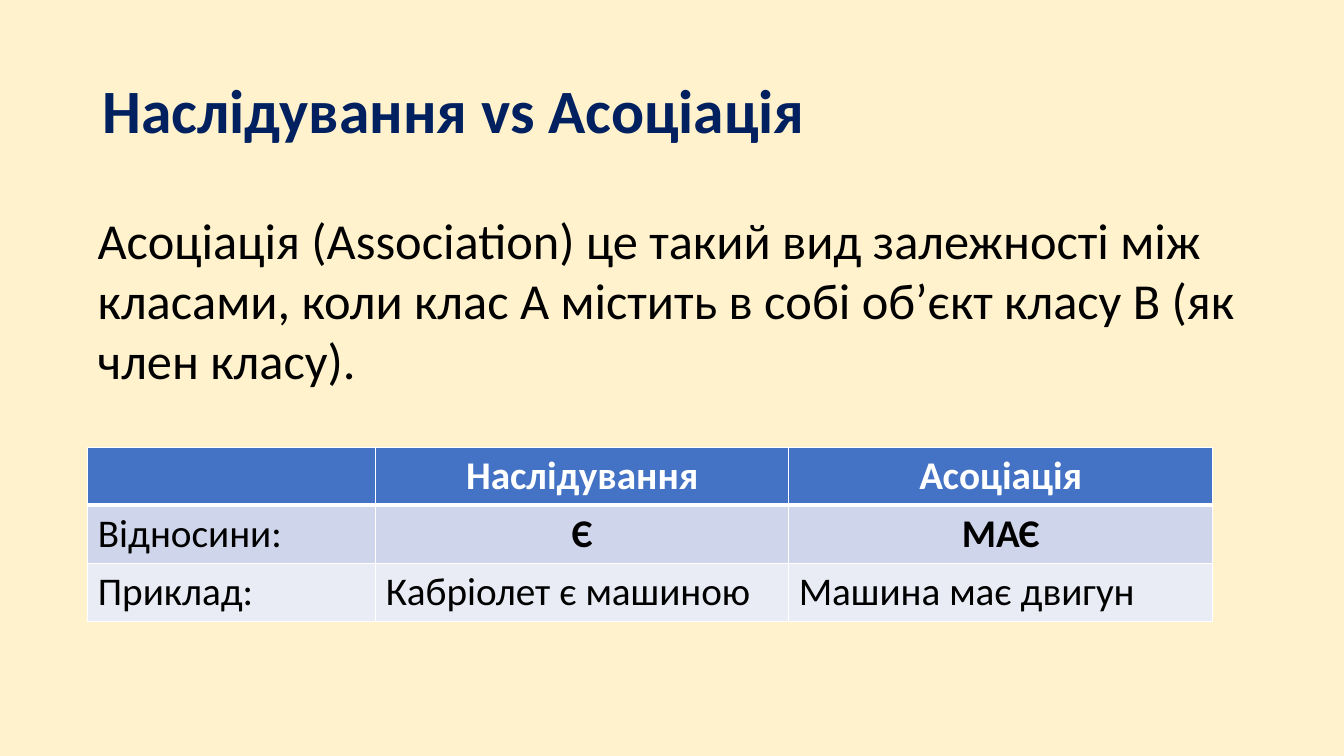
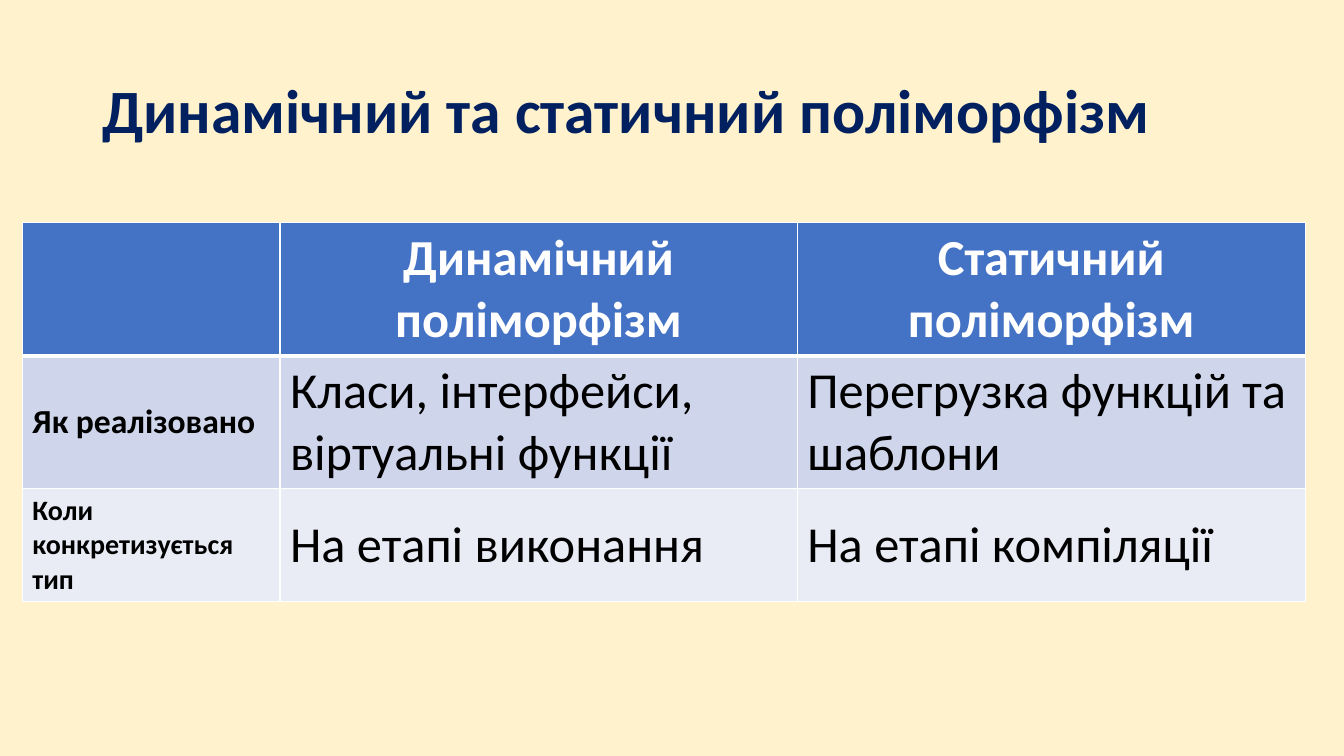
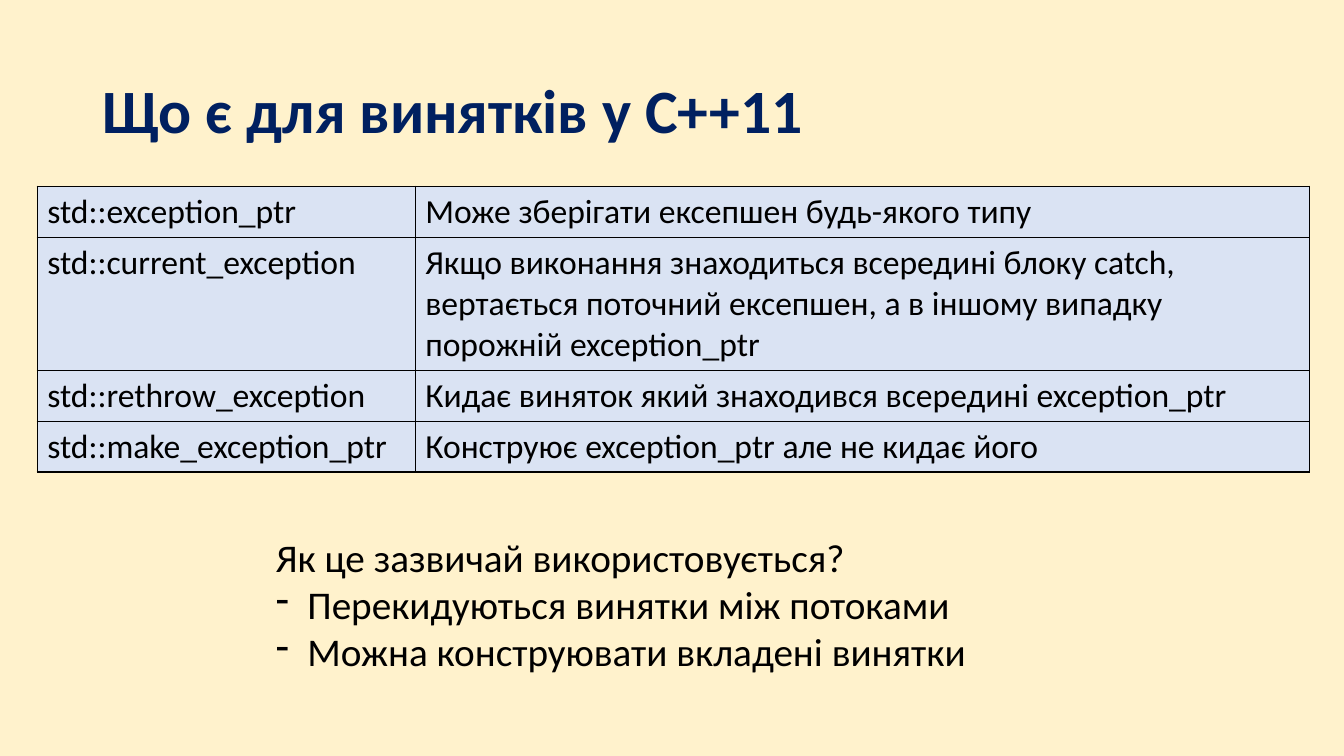
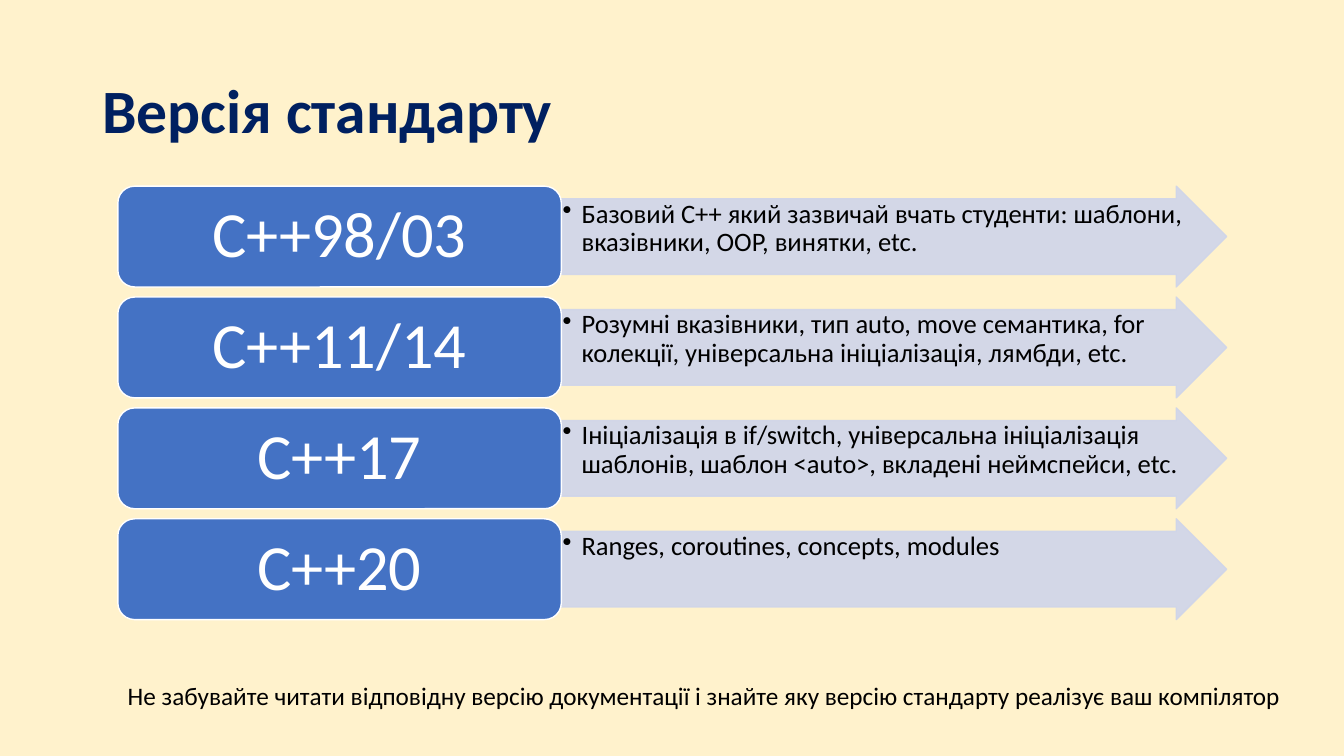
from lxml import etree
from pptx import Presentation
from pptx.dml.color import RGBColor
from pptx.enum.shapes import MSO_SHAPE
from pptx.enum.text import MSO_ANCHOR, MSO_AUTO_SIZE, PP_ALIGN
from pptx.oxml.ns import qn
from pptx.util import Pt

LEFT, CENTER = PP_ALIGN.LEFT, PP_ALIGN.CENTER
TOP, MIDDLE = MSO_ANCHOR.TOP, MSO_ANCHOR.MIDDLE
GROW = MSO_AUTO_SIZE.SHAPE_TO_FIT_TEXT
RIGHT_ARROW, ROUNDED = MSO_SHAPE.RIGHT_ARROW, MSO_SHAPE.ROUNDED_RECTANGLE

FONT = "Calibri"
CREAM, NAVY, BLACK, WHITE = "FFF2CC", "002060", "000000", "FFFFFF"
BLUE, BAND_DARK, BAND_LIGHT, PALE_BLUE = "4472C4", "CFD5EA", "E9EBF5", "DAE3F3"
BANDS = (BLUE, BAND_DARK, BAND_LIGHT)


def rgb(color):
    return RGBColor.from_string(color)


def set_all(target, values):
    for name, value in values.items():
        setattr(target, name, value)


def write(frame, lines, size, color=BLACK, bold=False, align=LEFT, spacing=None,
          bullet=None, indent=0):
    """Fill a text frame; lines that start with the bullet mark are indented."""
    for index, line in enumerate(lines):
        paragraph = frame.paragraphs[0] if index == 0 else frame.add_paragraph()
        set_all(paragraph, {"alignment": align, "line_spacing": spacing})
        if bullet and line.startswith(bullet):
            line = line[len(bullet):].strip()
            properties = paragraph._p.get_or_add_pPr()
            properties.set("marL", str(Pt(indent)))
            properties.set("indent", str(-Pt(indent)))
            etree.SubElement(properties, qn("a:buChar"), char=bullet)
        run = paragraph.add_run()
        run.text = line
        set_all(run.font, {"name": FONT, "size": Pt(size), "bold": bold})
        run.font.color.rgb = rgb(color)


def set_borders(cell, color, widths):
    """Draw cell borders; widths maps L, R, T and B to points."""
    properties = cell._tc.get_or_add_tcPr()
    for index, side in enumerate("LRTB"):
        line = etree.Element(qn(f"a:ln{side}"), w=str(Pt(widths[side])))
        fill = etree.SubElement(line, qn("a:solidFill"))
        etree.SubElement(fill, qn("a:srgbClr"), val=color)
        properties.insert(index, line)


class Deck:
    def __init__(self):
        self.presentation = Presentation()
        set_all(self.presentation, {"slide_width": Pt(960), "slide_height": Pt(540)})
        self.slide = None

    def add_slide(self, title):
        self.slide = self.presentation.slides.add_slide(self.presentation.slide_layouts[6])
        background = self.slide.background.fill
        background.solid()
        background.fore_color.rgb = rgb(CREAM)
        self.text((66, 28.75, 828, 104.4), [title], 44, frame_format={"vertical_anchor": MIDDLE},
                  color=NAVY, bold=True, spacing=0.9)

    def text(self, box, lines, size, frame_format, **style):
        frame = self.slide.shapes.add_textbox(*map(Pt, box)).text_frame
        set_all(frame, {"word_wrap": True, **frame_format})
        write(frame, lines, size, **style)

    def shape(self, kind, box, fill, line, text, size, anchor, margins,
              adjustments=(), opacity=None, **style):
        shape = self.slide.shapes.add_shape(kind, *map(Pt, box))
        shape.shadow.inherit = False
        for index, value in enumerate(adjustments):
            shape.adjustments[index] = value
        shape.fill.solid()
        shape.fill.fore_color.rgb = rgb(fill)
        shape.line.color.rgb = rgb(line)
        shape.line.width = Pt(1)
        if opacity:
            for color in shape.element.spPr.iter(qn("a:srgbClr")):
                etree.SubElement(color, qn("a:alpha"), val=str(opacity * 1000))
        across, down = map(Pt, margins)
        set_all(shape.text_frame, {
            "word_wrap": True, "vertical_anchor": anchor,
            "margin_left": across, "margin_right": across,
            "margin_top": down, "margin_bottom": down})
        write(shape.text_frame, [text], size, **style)

    def table(self, left, top, columns, heights, rows, fills, border, header=False):
        """Each cell is (text, anchor, style); a header row gets a thick lower border."""
        table = self.slide.shapes.add_table(
            len(rows), len(columns), Pt(left), Pt(top), Pt(sum(columns)), Pt(sum(heights))).table
        for column, width in zip(table.columns, columns):
            column.width = Pt(width)
        for index, (row, height, color) in enumerate(zip(rows, heights, fills)):
            table.rows[index].height = Pt(height)
            widths = {"L": 1, "R": 1,
                      "T": 3 if header and index == 1 else 1,
                      "B": 3 if header and index == 0 else 1}
            for cell, (text, anchor, style) in zip(table.rows[index].cells, row):
                cell.vertical_anchor = anchor
                cell.fill.solid()
                cell.fill.fore_color.rgb = rgb(color)
                set_borders(cell, border, widths)
                if text:
                    write(cell.text_frame, [text], **style)


def inheritance_slide(deck):
    deck.add_slide("Наслідування vs Асоціація")
    plain = {"size": 28}
    strong = {"size": 28, "bold": True, "align": CENTER}
    heading = {**strong, "color": WHITE}
    rows = [
        [("", MIDDLE, heading), ("Наслідування", MIDDLE, heading), ("Асоціація", MIDDLE, heading)],
        [("Відносини:", MIDDLE, plain), ("Є", MIDDLE, strong), ("МАЄ", MIDDLE, strong)],
        [(text, MIDDLE, plain) for text in ("Приклад:", "Кабріолет є машиною", "Машина має двигун")],
    ]
    deck.table(62.7, 319.5, (205.7, 295, 303), [41.4] * 3, rows, BANDS, WHITE, header=True)
    deck.text((62.7, 145.5, 835, 138),
              ["Асоціація (Association) це такий вид залежності між класами, "
               "коли клас А містить в собі об’єкт класу B (як член класу)."],
              36, frame_format={"auto_size": GROW})


def polymorphism_slide(deck):
    deck.add_slide("Динамічний та статичний поліморфізм")
    plain = {"size": 36}
    heading = {"size": 36, "bold": True, "align": CENTER, "color": WHITE}
    rows = [
        [("", TOP, heading), ("Динамічний поліморфізм", TOP, heading),
         ("Статичний поліморфізм", TOP, heading)],
        [("Як реалізовано", MIDDLE, {"size": 24, "bold": True}),
         ("Класи, інтерфейси, віртуальні функції", TOP, plain),
         ("Перегрузка функцій та шаблони", TOP, plain)],
        [("Коли конкретизується тип", MIDDLE, {"size": 20, "bold": True}),
         ("На етапі виконання", MIDDLE, plain), ("На етапі компіляції", MIDDLE, plain)],
    ]
    deck.table(16, 159.2, (184, 369.5, 363), (95, 95, 80.4), rows, BANDS, WHITE, header=True)


def exceptions_slide(deck):
    deck.add_slide("Що є для винятків у C++11")
    functions = {
        "std::exception_ptr": "Може зберігати ексепшен будь-якого типу",
        "std::current_exception": "Якщо виконання знаходиться всередині блоку catch, вертається "
                                  "поточний ексепшен, а в іншому випадку порожній exception_ptr",
        "std::rethrow_exception": "Кидає виняток який знаходився всередині exception_ptr",
        "std::make_exception_ptr": "Конструює exception_ptr але не кидає його",
    }
    rows = [[(text, TOP, {"size": 24}) for text in pair] for pair in functions.items()]
    deck.table(26.6, 133, (270, 638.6), (36.4, 95, 36.4, 36.4), rows,
               [PALE_BLUE] * len(rows), BLACK)
    deck.text((190, 377.3, 512.6, 109),
              ["Як це зазвичай використовується?",
               "- Перекидуються винятки між потоками",
               "- Можна конструювати вкладені винятки"],
              28, frame_format={"word_wrap": False, "auto_size": GROW}, bullet="-", indent=22.5)


def standards_slide(deck):
    deck.add_slide("Версія стандарту")
    versions = {
        "С++98/03": "Базовий С++ який зазвичай вчать студенти: шаблони, вказівники, OOP, винятки, etc.",
        "С++11/14": "Розумні вказівники, тип auto, move семантика, for колекції, "
                    "універсальна ініціалізація, лямбди, etc.",
        "С++17": "Ініціалізація в if/switch, універсальна ініціалізація шаблонів, "
                 "шаблон <auto>, вкладені неймспейси, etc.",
        "С++20": "Ranges, coroutines, concepts, modules",
    }
    left, label_width, arrow_width, height, pitch = 84.2, 316.8, 475.2, 72, 79.2
    for index, (version, features) in enumerate(versions.items()):
        top = 133 + index * pitch
        deck.shape(RIGHT_ARROW, (left + label_width, top, arrow_width, height),
                   BAND_DARK, BAND_DARK, "•" + features, 19, TOP, (0.95, 0.95),
                   adjustments=(0.75, 0.5), opacity=90, spacing=0.9, bullet="•", indent=13.5)
        deck.shape(ROUNDED, (left, top, label_width, height), BLUE, WHITE, version, 46, MIDDLE,
                   (17, 10), color=WHITE, align=CENTER, spacing=0.9)
    deck.text((left, 482.6, 847.4, 29),
              ["Не забувайте читати відповідну версію документації і знайте "
               "яку версію стандарту реалізує ваш компілятор"],
              18, frame_format={"word_wrap": False, "auto_size": GROW})


def main():
    deck = Deck()
    for build in (inheritance_slide, polymorphism_slide, exceptions_slide, standards_slide):
        build(deck)
    deck.presentation.save("out.pptx")


if __name__ == "__main__":
    main()
